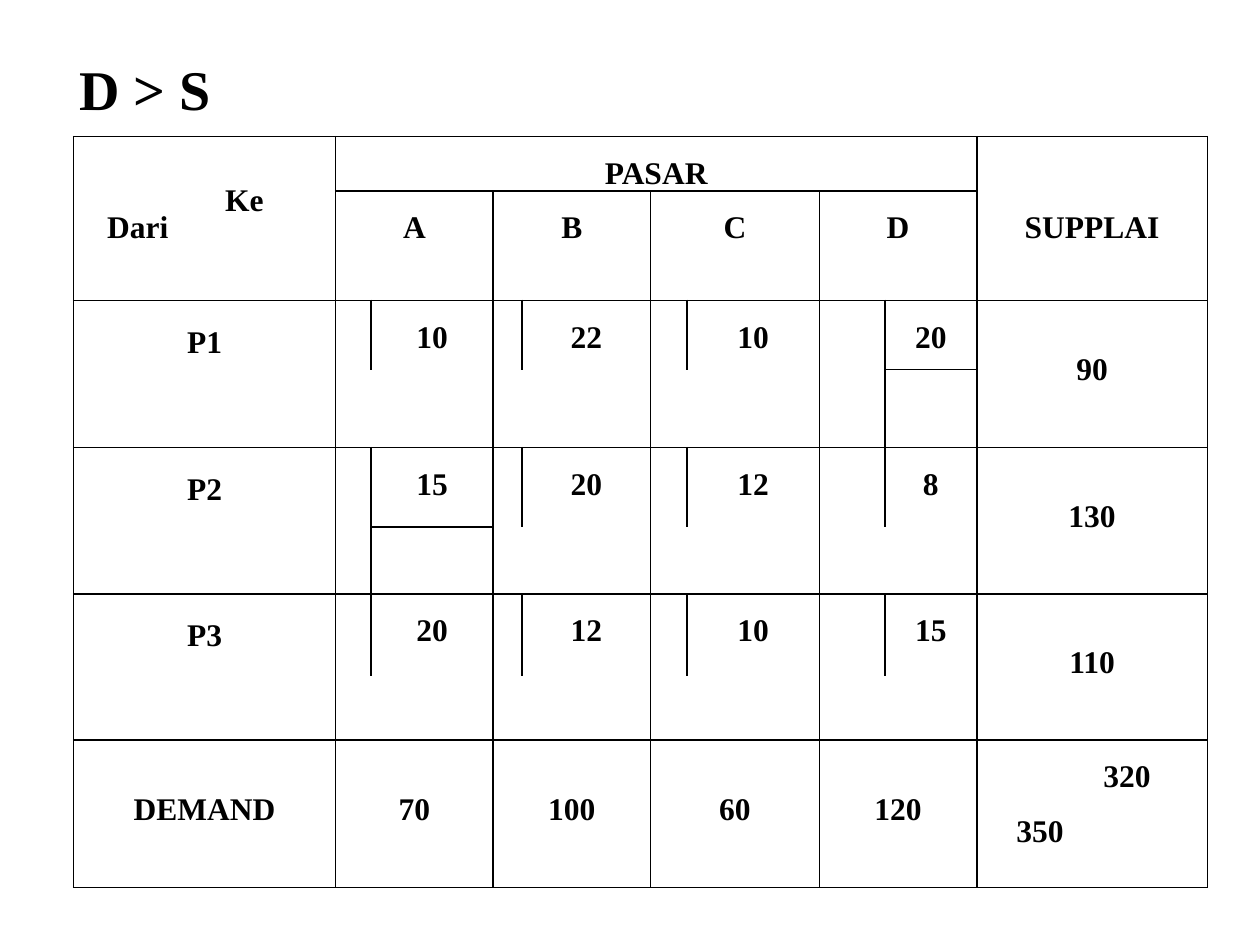
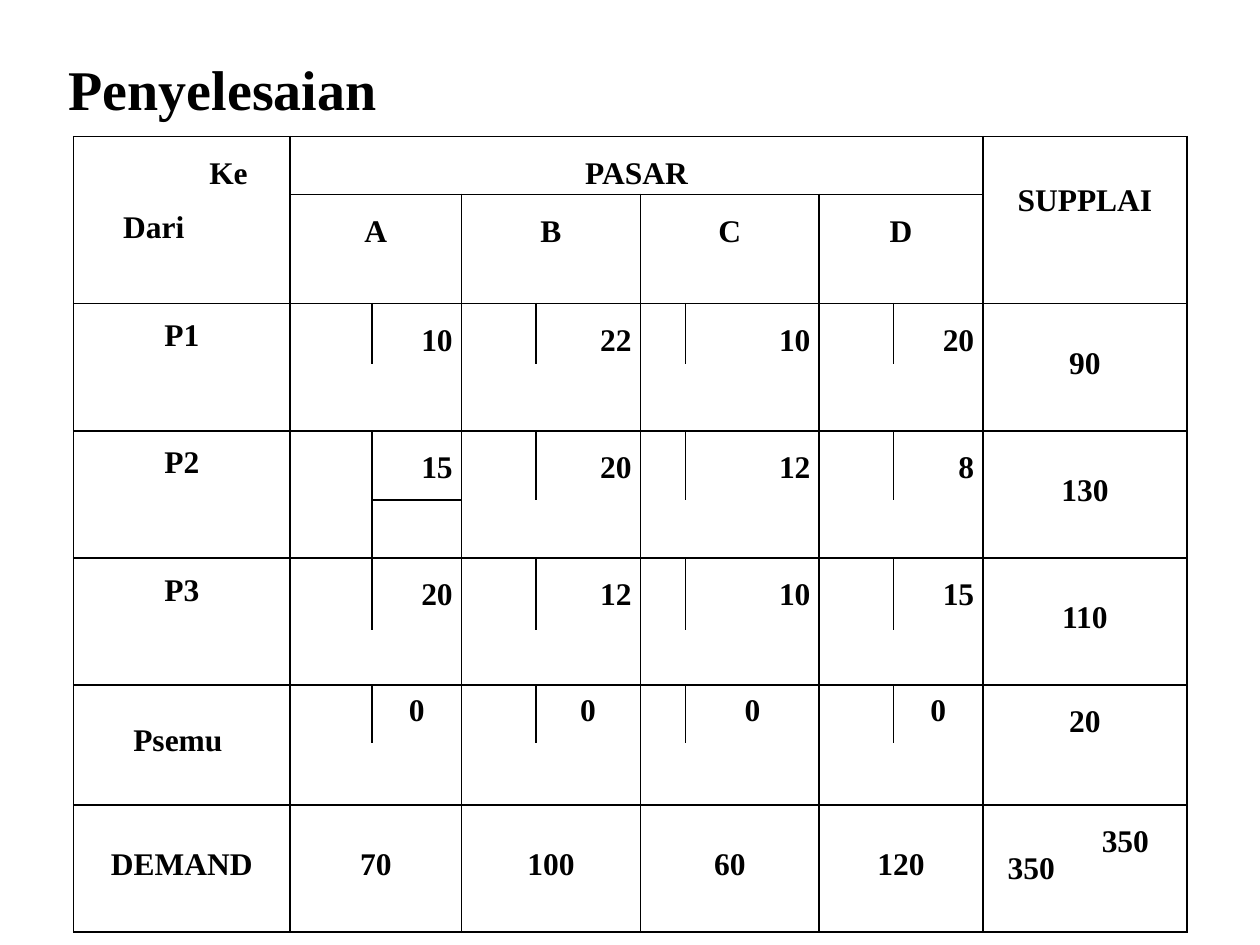
"""Build two transportation-problem slides: demand exceeding supply, and its solution."""
from itertools import product

from lxml import etree
from pptx import Presentation
from pptx.dml.color import RGBColor
from pptx.enum import text
from pptx.oxml import ns
from pptx.util import Pt

COLORS = {"ink": "000000"}
FONT = "Times New Roman"
LINE = 15.6
NO_STYLE = "{2D5ABB26-0587-4C30-8999-92F81FD0307C}"
LEFT, CENTER, RIGHT = text.PP_ALIGN.LEFT, text.PP_ALIGN.CENTER, text.PP_ALIGN.RIGHT
SIDES = {"L": (0, -1), "R": (0, 1), "T": (-1, 0), "B": (1, 0)}
MARKETS = {"A": 70, "B": 100, "C": 60, "D": 120}
SOURCES = [
    ("P1", [10, 22, 10, 20], 90),
    ("P2", [15, 20, 12, 8], 130),
    ("P3", [20, 12, 10, 15], 110),
]
DUMMY = ("Psemu ", [0, 0, 0, 0], 20)

SLIDES = [
    {
        "title": "D > S", "left": 24, "width": 666,
        "columns": [149.8, 20.2, 69.8, 16.6, 73.4, 20.9, 75.6, 37.4, 52.6, 131.8],
        "rows": [31.2, 62.4, 39.6, 44.5, 45.4, 38.3, 46.9, 36.7, 84.1],
        "sources": SOURCES, "cost_align": CENTER, "boxed": [("P1", "D"), ("P2", "A")],
        "corner": {"above": 2, "indents": (81.7, 14.3)},
        "supply_above": 3,
        "totals": ["320", "350"],
        "total_style": {"above": 1, "indents": (67.4, 17.7), "gap": 1},
    },
    {
        "title": "Penyelesaian", "left": 18, "width": 654,
        "columns": [123.8, 46.8, 51.1, 42.5, 59.8, 25.9, 76.3, 42.5, 51.1, 116.6],
        "rows": [33.1, 62.4, 34.5, 38.2, 39.6, 33.1, 41, 31.7, 33.1, 35.3, 72.7],
        "sources": SOURCES + [DUMMY], "cost_align": RIGHT, "boxed": [("P2", "A")],
        "corner": {"above": 1, "indents": (72.6, 23.4), "gap": 1},
        "supply_above": 2,
        "totals": ["350", "350"],
        "total_style": {"above": 1, "indents": (62.9, 9.1)},
    },
]


def format_paragraph(paragraph, size, align, indent=0):
    paragraph.alignment = align
    properties = paragraph._p.get_or_add_pPr()
    properties.set("marL", str(Pt(indent)))
    properties.set("indent", "0")
    for run in paragraph.runs:
        run.font.name = FONT
        run.font.size = Pt(size)
        run.font.bold = True
        run.font.color.rgb = RGBColor.from_string(COLORS["ink"])


def write_cell(cell, lines, above=None, below=0, align=CENTER, indents=(0, 0), gap=0):
    cell.text_frame.text = "\n".join(lines)
    cell.margin_top = Pt(LINE * (above or 0))
    cell.margin_bottom = Pt(LINE * below)
    cell.vertical_anchor = text.MSO_ANCHOR.MIDDLE if above is None else text.MSO_ANCHOR.TOP
    for number, (paragraph, indent) in enumerate(zip(cell.text_frame.paragraphs, indents)):
        format_paragraph(paragraph, 18, align, indent)
        paragraph.line_spacing = Pt(LINE)
        paragraph.space_before = Pt(LINE * gap * number)


presentation = Presentation()
presentation.slide_width, presentation.slide_height = Pt(720), Pt(540)

for content in SLIDES:
    slide = presentation.slides.add_slide(presentation.slide_layouts[5])
    title = slide.shapes.title
    title.left, title.top = Pt(content["left"]), Pt(23.8)
    title.width, title.height = Pt(content["width"]), Pt(50)
    title.text_frame.text = content["title"]
    title.text_frame.margin_top = Pt(7.2)
    title.text_frame.vertical_anchor = text.MSO_ANCHOR.TOP
    title.text_frame.auto_size = text.MSO_AUTO_SIZE.NONE
    format_paragraph(title.text_frame.paragraphs[0], 32, LEFT, 14)

    widths, heights = content["columns"], content["rows"]
    frame = slide.shapes.add_table(len(heights), len(widths), Pt(42), Pt(78),
                                   Pt(sum(widths)), Pt(sum(heights)))
    table = frame.table
    table.first_row = table.horz_banding = False
    table._tbl.tblPr.find(ns.qn("a:tableStyleId")).text = NO_STYLE
    for column, width in zip(table.columns, widths):
        column.width = Pt(width)
    for row, height in zip(table.rows, heights):
        row.height = Pt(height)

    supply_column, demand_row = len(widths) - 1, len(heights) - 1
    spans = [(0, 0, 1, 0), (0, 1, 0, supply_column - 1), (0, supply_column, 1, supply_column)]
    open_edges = set()

    write_cell(table.cell(0, 0), ["Ke", "Dari"], align=LEFT, **content["corner"])
    write_cell(table.cell(0, 1), ["PASAR"], above=1)
    write_cell(table.cell(0, supply_column), ["SUPPLAI"], above=content["supply_above"])
    write_cell(table.cell(demand_row, 0), ["DEMAND"])
    write_cell(table.cell(demand_row, supply_column), content["totals"], align=LEFT,
               **content["total_style"])

    for column, (market, demand) in zip(range(1, supply_column, 2), MARKETS.items()):
        write_cell(table.cell(1, column), [market], above=1)
        write_cell(table.cell(demand_row, column), [str(demand)])
        spans += [(row, column, row, column + 1) for row in (1, demand_row)]

    for row, (source, costs, supply) in zip(range(2, demand_row, 2), content["sources"]):
        is_dummy = source == DUMMY[0]
        write_cell(table.cell(row, 0), [source], below=0 if is_dummy else 2)
        write_cell(table.cell(row, supply_column), [str(supply)], above=1 if is_dummy else None)
        spans += [(row, edge, row + 1, edge) for edge in (0, supply_column)]
        for column, market, cost in zip(range(1, supply_column, 2), MARKETS, costs):
            write_cell(table.cell(row, column + 1), [str(cost)],
                       above=None if is_dummy else 1,
                       align=CENTER if is_dummy else content["cost_align"])
            if (source, market) in content["boxed"]:
                spans.append((row, column, row + 1, column))
            else:
                spans.append((row + 1, column, row + 1, column + 1))
                for part in (column, column + 1):
                    open_edges |= {(row, part, "B"), (row + 1, part, "T")}

    owners = {}
    for top, left, bottom, right in spans:
        table.cell(top, left).merge(table.cell(bottom, right))
        for place in product(range(top, bottom + 1), range(left, right + 1)):
            owners[place] = (top, left)

    for row, column in product(range(len(heights)), range(len(widths))):
        cell = table.cell(row, column)
        cell.margin_left = cell.margin_right = Pt(5)
        if not cell.text_frame.text:
            cell.margin_top = cell.margin_bottom = 0
        properties = cell._tc.get_or_add_tcPr()
        owner = owners.get((row, column), (row, column))
        for side, (down, across) in SIDES.items():
            border = etree.SubElement(properties, ns.qn(f"a:ln{side}"), w=str(Pt(1)))
            neighbour = (row + down, column + across)
            if owners.get(neighbour, neighbour) == owner or (row, column, side) in open_edges:
                etree.SubElement(border, ns.qn("a:noFill"))
            else:
                fill = etree.SubElement(border, ns.qn("a:solidFill"))
                etree.SubElement(fill, ns.qn("a:srgbClr"), val=COLORS["ink"])
        cell.fill.background()

presentation.save("out.pptx")
